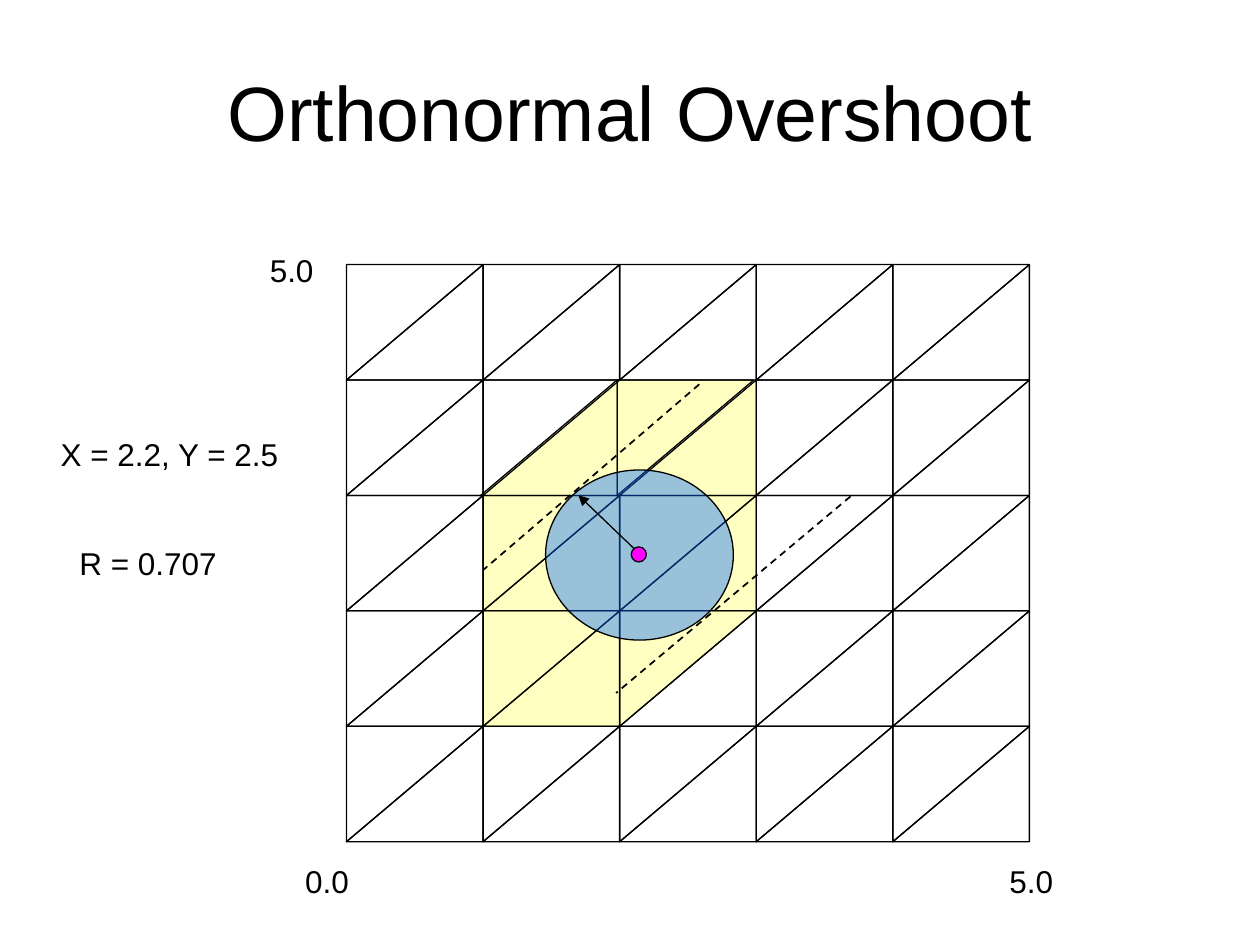
from lxml import etree
from pptx import Presentation
from pptx.dml.color import RGBColor
from pptx.enum.dml import MSO_LINE
from pptx.enum.shapes import MSO_CONNECTOR, MSO_SHAPE as SHAPE
from pptx.enum.text import MSO_ANCHOR, MSO_AUTO_SIZE, PP_ALIGN
from pptx.oxml.ns import qn
from pptx.util import Inches, Pt

BLACK = RGBColor(0x00, 0x00, 0x00)
YELLOW = RGBColor(0xFF, 0xFF, 0x66)
BLUE = RGBColor(0x00, 0x66, 0xFF)
MAGENTA = RGBColor(0xFF, 0x00, 0xFF)

# Mesh of 5 x 5 cells, each split into two triangles
N = 5
MESH_X, MESH_Y = 2.75, 2.1
CELL_W, CELL_H = 5.42 / N, 4.58 / N
ROW_ORDER = (2, 1, 4, 0, 3)  # back to front
LOWER, UPPER = 270, 90  # rotation of the right triangle
COVERED = {
    (1, 1, LOWER), (1, 2, LOWER), (1, 2, UPPER),
    (2, 1, LOWER), (2, 1, UPPER), (2, 2, LOWER), (2, 2, UPPER),
    (3, 1, LOWER), (3, 1, UPPER), (3, 2, UPPER),
}
NUDGE = {(1, 1, LOWER): -0.02, (1, 2, UPPER): -0.02}

LABELS = [
    ("0.0", 2.04, 6.79, 1.11),
    ("5.0", 1.76, 1.94, 1.11),
    ("5.0", 7.63, 6.79, 1.11),
    ("X = 2.2, Y = 2.5", 0.32, 3.4, 2.05),
    ("R = 0.707", 0.32, 4.27, 1.71),
]


def format_text(tf, text, size):
    p = tf.paragraphs[0]
    p.alignment = PP_ALIGN.CENTER
    r = p.add_run()
    r.text = text
    for name, value in {"name": "Arial", "size": Pt(size)}.items():
        setattr(r.font, name, value)
    r.font.color.rgb = BLACK


def add_title(slide, text):
    title = slide.shapes.title
    box = {"left": 0.5, "top": 0.25, "width": 9, "height": 1.25}
    for name, value in box.items():
        setattr(title, name, Inches(value))
    title.text_frame.vertical_anchor = MSO_ANCHOR.MIDDLE
    format_text(title.text_frame, text, 44)


def add_label(slide, text, x, y, w):
    box = slide.shapes.add_textbox(Inches(x), Inches(y), Inches(w), Inches(0.4))
    tf = box.text_frame
    tf.word_wrap = True
    tf.auto_size = MSO_AUTO_SIZE.SHAPE_TO_FIT_TEXT
    format_text(tf, text, 18)


def add_outlined(slide, kind, x, y, w, h, fill=None, alpha=None):
    sp = slide.shapes.add_shape(kind, Inches(x), Inches(y), Inches(w), Inches(h))
    sp.shadow.inherit = False
    sp.line.color.rgb = BLACK
    sp.line.width = Pt(0.75)
    if fill is None:
        sp.fill.background()
        return sp
    sp.fill.solid()
    sp.fill.fore_color.rgb = fill
    if alpha is not None:
        color = sp.fill._xPr.find(qn("a:solidFill"))[0]
        etree.SubElement(color, qn("a:alpha"), val=str(alpha * 1000))
    return sp


def add_triangle(slide, row, col, half):
    key = (row, col, half)
    cx = MESH_X + (col + 0.5) * CELL_W + NUDGE.get(key, 0)
    cy = MESH_Y + (row + 0.5) * CELL_H
    # Sides are swapped because the shape is turned by a quarter
    sp = add_outlined(slide, SHAPE.RIGHT_TRIANGLE, cx - CELL_H / 2, cy - CELL_W / 2,
                      CELL_H, CELL_W, YELLOW if key in COVERED else None, 40)
    sp.rotation = half


def add_line(slide, start, end, width, dash=None, arrow=False):
    points = [Inches(v) for v in (*start, *end)]
    line = slide.shapes.add_connector(MSO_CONNECTOR.STRAIGHT, *points)
    line.line.color.rgb = BLACK
    line.line.width = Pt(width)
    if dash is not None:
        line.line.dash_style = dash
    if arrow:
        etree.SubElement(line.line._get_or_add_ln(), qn("a:tailEnd"), type="triangle")
    etree.SubElement(line._element.spPr, qn("a:effectLst"))


def main():
    prs = Presentation()
    prs.slide_width, prs.slide_height = Inches(10), Inches(7.5)
    slide = prs.slides.add_slide(prs.slide_layouts[5])
    add_title(slide, "Orthonormal Overshoot")

    # Triangle mesh
    for row in ROW_ORDER:
        for col in reversed(range(N)):
            for half in (LOWER, UPPER):
                add_triangle(slide, row, col, half)

    # Search circle, radius arrow and centre point
    add_outlined(slide, SHAPE.OVAL, 4.33, 3.73, 1.49, 1.35, BLUE, 40)
    add_line(slide, (5.07, 4.39), (4.59, 3.93), 0.75, arrow=True)
    add_outlined(slide, SHAPE.OVAL, 5.01, 4.34, 0.12, 0.12, MAGENTA)

    # Dashed tangents
    for start, end in (((5.55, 3.05), (3.84, 4.52)), ((6.75, 3.94), (4.89, 5.5))):
        add_line(slide, start, end, 1, dash=MSO_LINE.DASH)

    # Axis and parameter labels
    for label in LABELS:
        add_label(slide, *label)

    prs.save("out.pptx")


if __name__ == "__main__":
    main()
